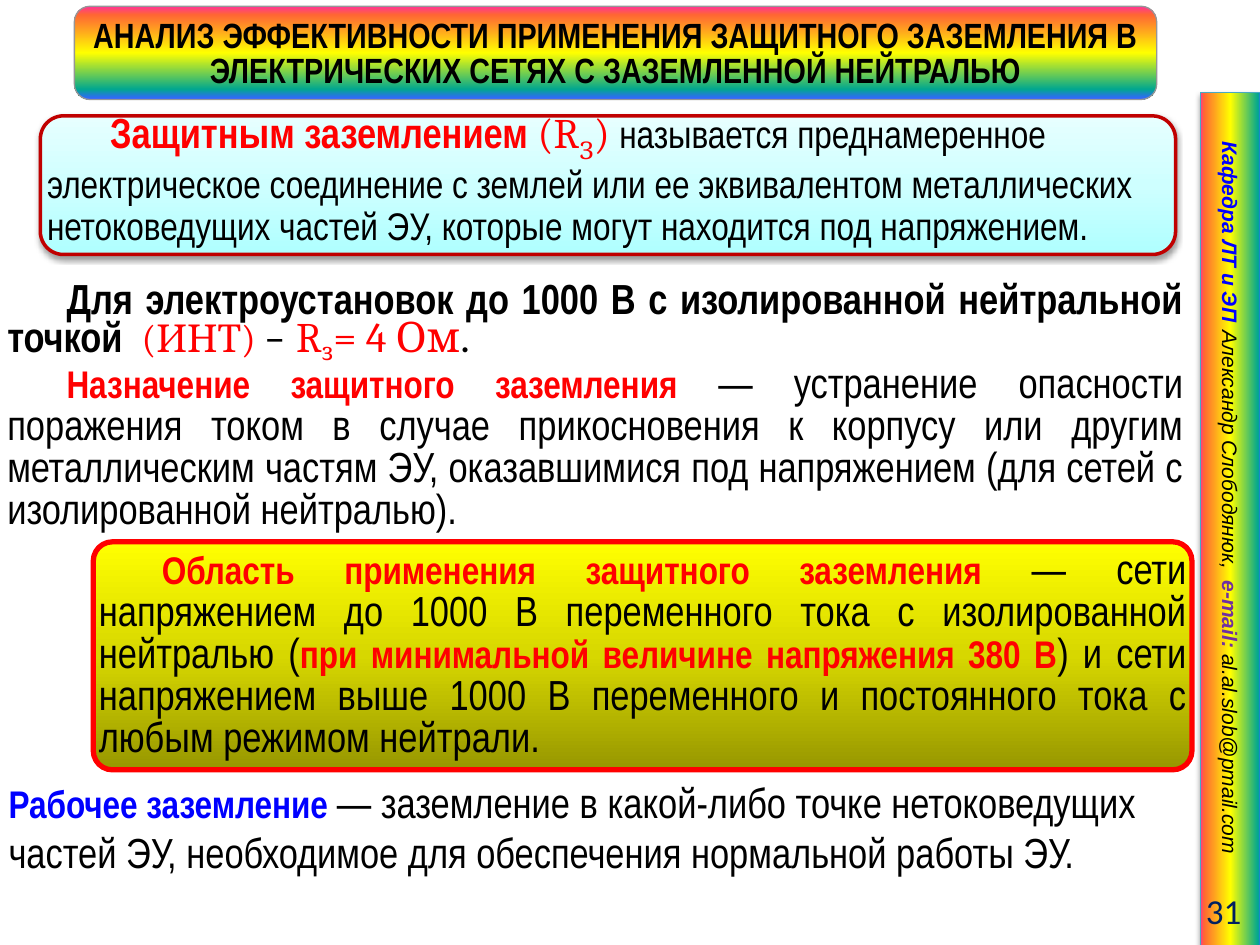
from dataclasses import dataclass, replace

import pptx
import pptx.util
import pptx.dml.color
import pptx.enum.shapes
import pptx.enum.text
import pptx.oxml
import pptx.oxml.ns
from pptx.util import Inches

Align = pptx.enum.text.PP_ALIGN
Anchor = pptx.enum.text.MSO_ANCHOR
Preset = pptx.enum.shapes.MSO_SHAPE
qn = pptx.oxml.ns.qn
A_NS = pptx.oxml.ns.nsdecls("a")


@dataclass(frozen=True)
class Theme:
    narrow: str = "Arial Narrow"
    math: str = "Cambria"
    plain: str = "Calibri"
    side: str = "Arial"
    black: str = "000000"
    red: str = "FF0000"
    blue: str = "0000FF"
    purple: str = "7030A0"
    navy: str = "002060"
    large: int = 24
    medium: int = 22
    heading: int = 20
    small: int = 12


T = Theme()
RAINBOW = ("FF3399", "FF6633", "FFFF00", "01A78F", "3366FF")


@dataclass(frozen=True)
class Style:
    size: int = T.large
    font: str = T.narrow
    color: str = T.black
    bold: bool = False
    italic: bool = False
    baseline: int = 0
    outlined: bool = False


@dataclass(frozen=True)
class Para:
    runs: tuple[tuple[str, Style], ...]
    align: Align = Align.LEFT
    indent: float = 0
    spacing: float | None = None
    tab: float | None = None


@dataclass(frozen=True)
class Panel:
    box: tuple[float, float, float, float]
    colors: tuple[str, ...]
    stops: tuple[int, ...]
    line: str
    line_width: float
    para: Para
    insets: tuple[float, float, float, float]
    preset: Preset = Preset.ROUNDED_RECTANGLE
    angle: int = 90
    rotation: int = 0
    corner: float | None = None
    shadow: bool = False


BODY = Style()
TERM = Style(size=T.medium, color=T.red, bold=True, outlined=True)
FORMULA = Style(font=T.math, color=T.red, outlined=True)
SIDE = Style(size=T.small, font=T.side, italic=True)


def rgb(color: str) -> pptx.dml.color.RGBColor:
    return pptx.dml.color.RGBColor.from_string(color)


def add_run(p, text: str, style: Style) -> None:
    r = p.add_run()
    r.text = text
    r.font.size = pptx.util.Pt(style.size)
    r.font.name = style.font
    r.font.bold = style.bold
    r.font.italic = style.italic
    r.font.color.rgb = rgb(style.color)
    props = r.font._element
    if style.baseline:
        props.set("baseline", str(style.baseline * 1000))
    if style.outlined:
        props.insert(0, pptx.oxml.parse_xml(
            f'<a:ln {A_NS} w="{pptx.util.Pt(0.07)}"><a:solidFill><a:srgbClr val="{T.black}">'
            '<a:alpha val="55000"/></a:srgbClr></a:solidFill></a:ln>'))


def write(tf, paras: tuple[Para, ...], anchor: Anchor,
          insets: tuple[float, float, float, float] = (0.1, 0.05, 0.1, 0.05)) -> None:
    tf.word_wrap = True
    tf.vertical_anchor = anchor
    tf.margin_left, tf.margin_top, tf.margin_right, tf.margin_bottom = map(Inches, insets)
    for i, para in enumerate(paras):
        p = tf.add_paragraph() if i else tf.paragraphs[0]
        p.alignment = para.align
        if para.spacing:
            p.line_spacing = pptx.util.Pt(para.spacing)
        props = p._p.get_or_add_pPr()
        props.set("marL", "0")
        props.set("indent", str(Inches(para.indent)))
        if para.tab:
            props.append(pptx.oxml.parse_xml(
                f'<a:tabLst {A_NS}><a:tab pos="{Inches(para.tab)}" algn="l"/></a:tabLst>'))
        for text, style in para.runs:
            add_run(p, text, style)


def add_panel(slide, panel: Panel) -> None:
    s = slide.shapes.add_shape(panel.preset, *map(Inches, panel.box))
    s.rotation = panel.rotation
    if panel.corner is not None:
        s.adjustments[0] = panel.corner
    s.fill.gradient()
    s.fill.gradient_angle = panel.angle
    stops = s._element.spPr.find(qn("a:gradFill")).find(qn("a:gsLst"))
    for old in list(stops):
        stops.remove(old)
    for pos, color in zip(panel.stops, panel.colors):
        stops.append(pptx.oxml.parse_xml(
            f'<a:gs {A_NS} pos="{pos * 1000}"><a:srgbClr val="{color}"/></a:gs>'))
    s.line.color.rgb = rgb(panel.line)
    s.line.width = pptx.util.Pt(panel.line_width)
    s.shadow.inherit = False
    if panel.shadow:
        s._element.spPr.find(qn("a:effectLst")).append(pptx.oxml.parse_xml(
            f'<a:outerShdw {A_NS} blurRad="{pptx.util.Pt(3.1)}" dist="{pptx.util.Pt(1.6)}" '
            f'dir="5400000" rotWithShape="0"><a:srgbClr val="{T.black}">'
            '<a:alpha val="38000"/></a:srgbClr></a:outerShdw>'))
    write(s.text_frame, (panel.para,), Anchor.MIDDLE, panel.insets)


def add_text(slide, box: tuple[float, float, float, float], *paras: Para,
             anchor: Anchor = Anchor.TOP) -> None:
    s = slide.shapes.add_textbox(*map(Inches, box))
    write(s.text_frame, paras, anchor)


SIDEBAR = Panel(
    (6.38, 3.88, 6.77, 0.48), RAINBOW, (0, 6, 50, 96, 100), "46AAC5", 0.75,
    Para((("Кафедра ЛТ и ЭП\t", replace(SIDE, color=T.blue, bold=True)),
          ("Александр Слободянюк,  ", SIDE),
          ("e-mail: ", replace(SIDE, color=T.purple, bold=True)),
          ("al.al.slob@pmail.com", SIDE)), tab=1.85),
    (0.39, 0.05, 0, 0.05), preset=Preset.RECTANGLE, rotation=90, shadow=True)

TITLE = Panel(
    (0.59, 0.05, 8.59, 0.74), RAINBOW, (0, 9, 50, 89, 99), "969696", 0.75,
    Para((("АНАЛИЗ ЭФФЕКТИВНОСТИ ПРИМЕНЕНИЯ ЗАЩИТНОГО ЗАЗЕМЛЕНИЯ В ЭЛЕКТРИЧЕСКИХ СЕТЯХ "
           "С ЗАЗЕМЛЕННОЙ НЕЙТРАЛЬЮ", Style(size=T.heading, bold=True)),),
         Align.CENTER, spacing=20),
    (0.04, 0.04, 0.04, 0), angle=270)

SCOPE = Panel(
    (0.74, 4.3, 8.72, 1.81), ("979700", "D7D700", "FFFF00"), (0, 50, 100), T.red, 3,
    Para((("Область применения защитного заземления ", TERM),
          ("— сети напряжением до 1000 В переменного тока с изолированной нейтралью (", BODY),
          ("при минимальной величине напряжения 380 В", TERM),
          (") и сети напряжением выше 1000 В переменного и постоянного тока "
           "с любым режимом нейтрали.", BODY)), Align.JUSTIFY, 0.5, 24),
    (0, 0.04, 0, 0.04), corner=0.084)

DEFINITION = Panel(
    (0.32, 0.92, 9.01, 1.1), ("AFFFFF", "CEFFFF", "E7FFFF"), (0, 50, 100), "C00000", 2,
    Para((("Защитным заземлением ", replace(TERM, size=T.large)),
          ("(R", FORMULA),
          ("З", replace(FORMULA, baseline=-25)),
          (") ", FORMULA),
          ("называется преднамеренное электрическое соединение с землей или ее эквивалентом "
           "металлических нетоковедущих частей ЭУ, которые могут находится под напряжением.",
           replace(BODY, size=T.medium))), indent=0.5, spacing=24),
    (0, 0, 0, 0), shadow=True)

RESISTANCE = Para(
    (("Для электроустановок до 1000 В с изолированной нейтральной точкой  ",
      replace(BODY, bold=True)),
     ("(ИНТ) ", replace(FORMULA, size=T.medium)),
     ("–", replace(BODY, font=T.plain)),
     (" ", replace(FORMULA, size=28)),
     ("R", FORMULA),
     ("з", replace(FORMULA, baseline=-18)),
     ("= 4 Ом", FORMULA),
     (".", replace(BODY, font=T.plain))), Align.JUSTIFY, 0.47, 24)

PURPOSE = Para(
    (("Назначение защитного заземления ", TERM),
     ("— устранение опасности поражения током в случае прикосновения к корпусу или другим "
      "металлическим частям ЭУ, оказавшимися под напряжением (для сетей с изолированной "
      "нейтралью).", BODY)), Align.JUSTIFY, 0.47, 24)

WORKING = Para(
    (("Рабочее заземление ", replace(TERM, color=T.blue)),
     ("— заземление в какой-либо точке нетоковедущих частей ЭУ, необходимое для обеспечения "
      "нормальной работы ЭУ.", BODY)))

PAGE = Para((("31", Style(T.heading, T.plain, T.navy)),), Align.RIGHT)


def main() -> None:
    prs = pptx.Presentation()
    prs.slide_width, prs.slide_height = Inches(10), Inches(7.5)
    slide = prs.slides.add_slide(prs.slide_layouts[6])
    add_panel(slide, SIDEBAR)
    add_text(slide, (8.86, 7.03, 1.09, 0.4), PAGE, anchor=Anchor.MIDDLE)
    add_text(slide, (-0.04, 2.18, 9.53, 2.12), RESISTANCE, PURPOSE)
    add_panel(slide, TITLE)
    add_text(slide, (-0.03, 6.11, 9.53, 0.91), WORKING)
    add_panel(slide, SCOPE)
    add_panel(slide, DEFINITION)
    prs.save("out.pptx")


if __name__ == "__main__":
    main()
